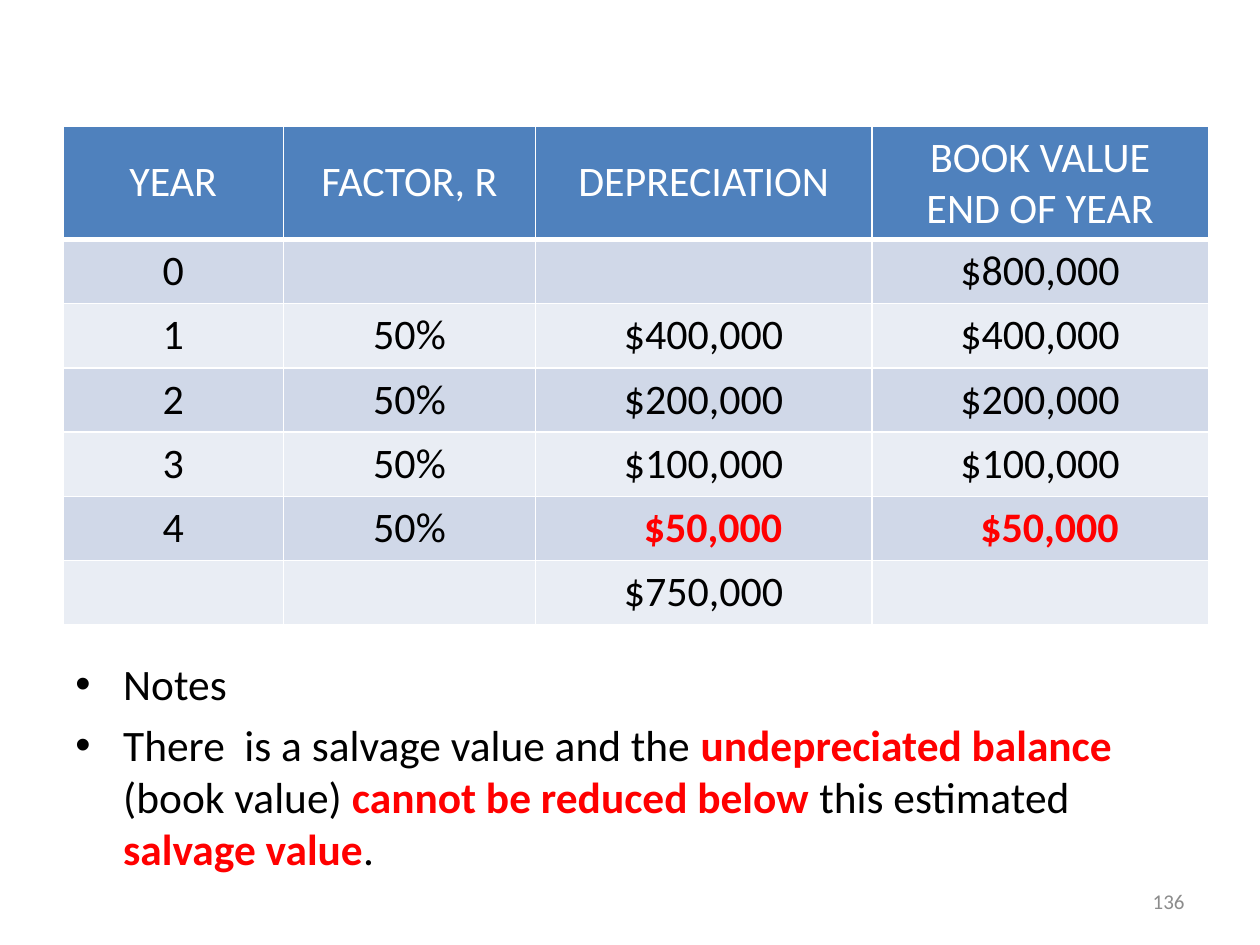
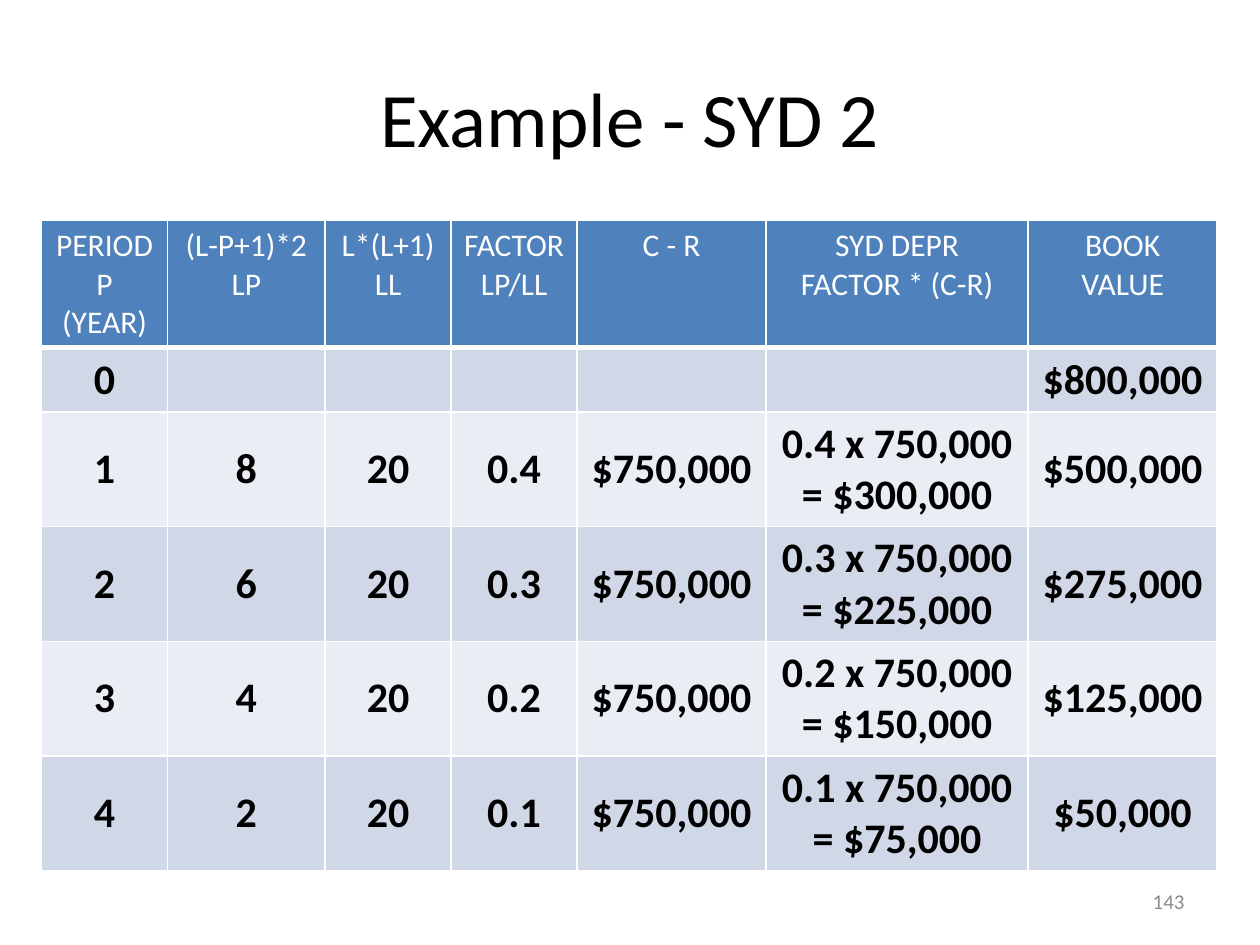
from lxml import etree
from pptx import Presentation
from pptx.dml.color import RGBColor
from pptx.enum.text import MSO_ANCHOR, PP_ALIGN
from pptx.oxml.ns import qn
from pptx.util import Inches, Pt

CENTER, RIGHT, LEFT = PP_ALIGN.CENTER, PP_ALIGN.RIGHT, PP_ALIGN.LEFT
TOP, MIDDLE = MSO_ANCHOR.TOP, MSO_ANCHOR.MIDDLE
FONT = "Calibri"
COLORS = {
    "text": "000000", "white": "FFFFFF", "accent": "FF0000", "number": "8C8C8C",
    "header": "4F81BD", "band_dark": "D0D8E8", "band_light": "E9EDF4",
}


def add_bullet(p):
    """Hang the paragraph on a round bullet."""
    pPr = p._p.get_or_add_pPr()
    pPr.set("marL", str(Inches(0.38)))
    pPr.set("indent", str(-Inches(0.38)))
    etree.SubElement(pPr, qn("a:buFont"), typeface="Arial")
    etree.SubElement(pPr, qn("a:buChar"), char="•")


def write_text(tf, paragraphs, size=24, color="text", bold=False, align=LEFT,
               bullet=False, gap=0):
    """Write paragraphs; each is a string or a list of (text, emphasised) runs."""
    for i, runs in enumerate(paragraphs):
        p = tf.paragraphs[0] if i == 0 else tf.add_paragraph()
        if bullet:
            add_bullet(p)
        p.alignment = align
        if i and gap:
            p.space_before = Pt(gap)
        for text, strong in [(runs, False)] if isinstance(runs, str) else runs:
            r = p.add_run()
            r.text = text
            r.font.name, r.font.size = FONT, Pt(size)
            r.font.bold = bold or strong
            r.font.color.rgb = RGBColor.from_string(COLORS["accent" if strong else color])


def add_text(s, box, paragraphs, anchor=TOP, **fmt):
    sp = s.shapes.add_textbox(*map(Inches, box))
    tf = sp.text_frame
    tf.word_wrap = True
    tf.vertical_anchor = anchor
    write_text(tf, paragraphs, **fmt)


def set_borders(cell, bottom):
    """Draw white cell edges; the line elements go before the fill."""
    tcPr = cell._tc.get_or_add_tcPr()
    for i, (side, width) in enumerate([("L", 1), ("R", 1), ("T", 1), ("B", bottom)]):
        ln = etree.Element(qn(f"a:ln{side}"), w=str(Pt(width)))
        fill = etree.SubElement(ln, qn("a:solidFill"))
        etree.SubElement(fill, qn("a:srgbClr"), val=COLORS["white"])
        tcPr.insert(i, ln)


def add_table(s, left, top, widths, heights, rows, header_fmt, body_fmt,
              header_anchor, body_anchor):
    """Add a banded table; a cell given as a list of runs is emphasised."""
    table = s.shapes.add_table(len(rows), len(widths), Inches(left), Inches(top),
                               Inches(sum(widths)), Inches(sum(heights))).table
    for column, width in zip(table.columns, widths):
        column.width = Inches(width)
    for i, (values, height) in enumerate(zip(rows, heights)):
        table.rows[i].height = Inches(height)
        header = i == 0
        fill = "header" if header else "band_dark" if i % 2 else "band_light"
        for j, value in enumerate(values):
            cell = table.cell(i, j)
            cell.fill.solid()
            cell.fill.fore_color.rgb = RGBColor.from_string(COLORS[fill])
            set_borders(cell, bottom=3 if header else 1)
            cell.vertical_anchor = header_anchor if header else body_anchor
            if not value:
                continue
            if isinstance(value, str):
                lines = value.split("\n")
            else:
                lines = [value]
                cell.margin_left = Inches(0.25)  # lines the shorter amount up at right
            write_text(cell.text_frame, lines, align=CENTER,
                       **(header_fmt if header else body_fmt))


def add_slide_number(s, number):
    add_text(s, (7.17, 6.95, 2.33, 0.4), [str(number)], anchor=MIDDLE,
             size=12, color="number", align=RIGHT)


def build_declining_balance(s):
    final = [("$50,000", True)]
    rows = [
        ["YEAR", "FACTOR, R", "DEPRECIATION", "BOOK VALUE\nEND OF YEAR"],
        ["0", "", "", "$800,000"],
        ["1", "50%", "$400,000", "$400,000"],
        ["2", "50%", "$200,000", "$200,000"],
        ["3", "50%", "$100,000", "$100,000"],
        ["4", "50%", final, final],
        ["", "", "$750,000", ""],
    ]
    notes = [
        "Notes",
        [("There  is a salvage value and the ", False), ("undepreciated balance ", True),
         ("(book value) ", False), ("cannot be reduced below ", True),
         ("this estimated ", False), ("salvage value", True), (".", False)],
    ]
    add_text(s, (0.5, 5.17, 9, 1.53), notes, size=24.8, bullet=True, gap=5)
    add_table(s, 0.5, 1, [1.75, 2, 2.67, 2.67], [0.9] + [0.51] * 6, rows,
              {"color": "white"}, {}, MIDDLE, TOP)
    add_slide_number(s, 136)


def build_syd(s):
    header = ["PERIOD\nP\n(YEAR)", "(L-P+1)*2\nLP", "L*(L+1)\nLL", "FACTOR\nLP/LL",
              "C - R", "SYD DEPR\nFACTOR * (C-R)", "BOOK VALUE"]
    years = [
        ("1", "8", "0.4", "$300,000", "$500,000"),
        ("2", "6", "0.3", "$225,000", "$275,000"),
        ("3", "4", "0.2", "$150,000", "$125,000"),
        ("4", "2", "0.1", "$75,000", "$50,000"),
    ]
    rows = [header, ["0", "", "", "", "", "", "$800,000"]]
    for year, lp, factor, depreciation, book in years:
        rows.append([year, lp, "20", factor, "$750,000",
                     f"{factor} x 750,000\n= {depreciation}", book])
    add_text(s, (0.5, 0.3, 9, 1.25), ["Example - SYD 2"], anchor=MIDDLE,
             size=44, align=CENTER)
    add_table(s, 0.33, 1.75, [1, 1.25, 1, 1, 1.5, 2.08, 1.5],
              [1.01, 0.51] + [0.91] * 4, rows,
              {"size": 18, "color": "white"}, {"bold": True}, TOP, MIDDLE)
    add_slide_number(s, 143)


def main():
    prs = Presentation()
    prs.slide_width, prs.slide_height = Inches(10), Inches(7.5)
    for build in (build_declining_balance, build_syd):
        build(prs.slides.add_slide(prs.slide_layouts[6]))
    prs.save("out.pptx")


if __name__ == "__main__":
    main()
